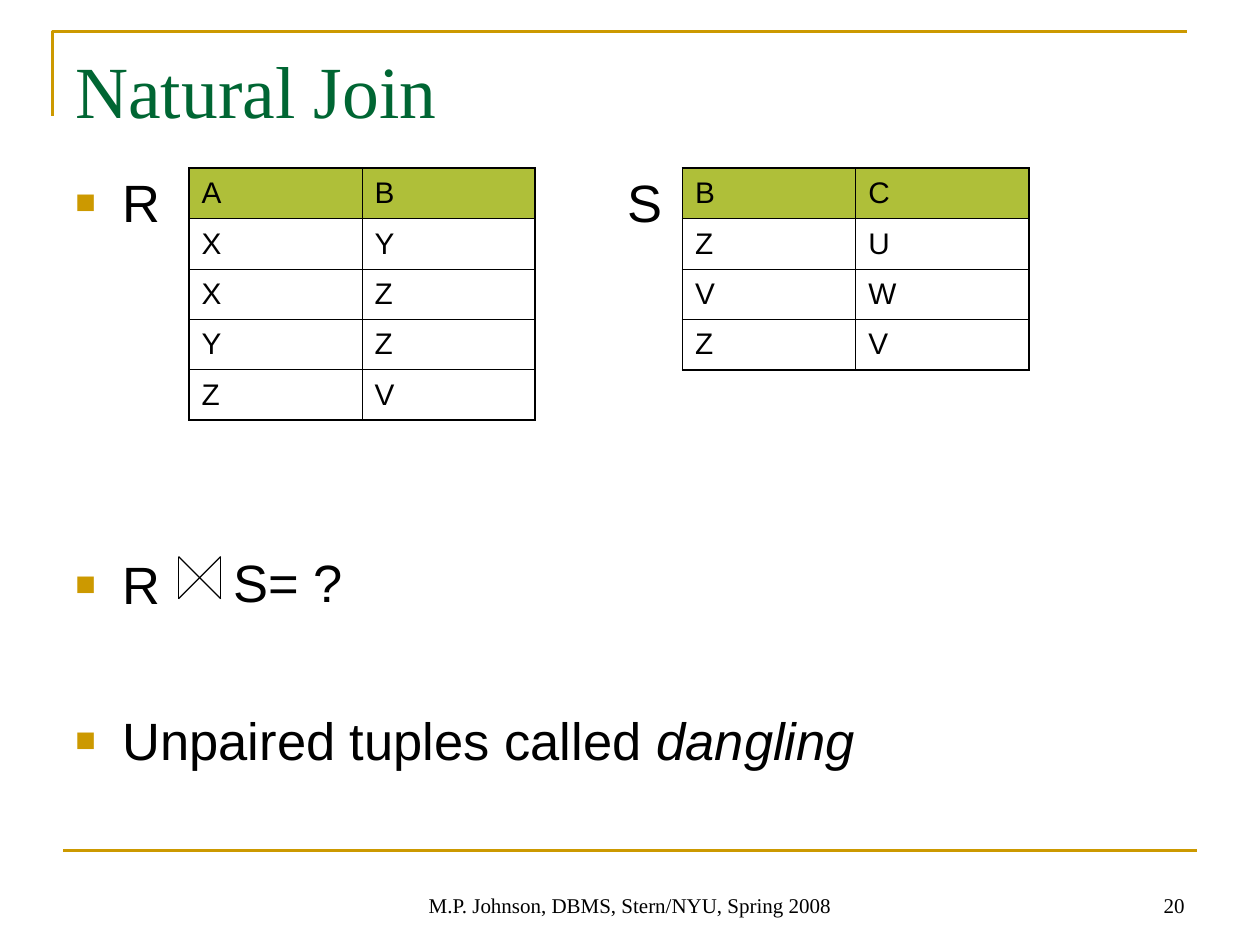
from lxml import etree
from pptx import Presentation
from pptx.dml.color import RGBColor
from pptx.enum.shapes import MSO_CONNECTOR
from pptx.enum.text import MSO_ANCHOR, PP_ALIGN
from pptx.oxml.ns import qn
from pptx.util import Cm, Pt

GOLD = RGBColor(0xCC, 0x99, 0x00)
GREEN = RGBColor(0x00, 0x66, 0x33)
OLIVE = RGBColor(0xAF, 0xBF, 0x39)
BLACK = RGBColor(0x00, 0x00, 0x00)
SANS, SERIF = "Arial", "Times New Roman"
THICK, THIN = Pt(1.08), Pt(0.45)


def add_span(para, text, size, font=SANS, color=BLACK, italic=None):
    span = para.add_run()
    span.text = text
    span.font.size = Pt(size)
    span.font.name = font
    span.font.color.rgb = color
    span.font.italic = italic


def add_box(page, left, top, width, height, anchor=MSO_ANCHOR.TOP):
    box = page.shapes.add_textbox(Cm(left), Cm(top), Cm(width), Cm(height))
    frame = box.text_frame
    frame.word_wrap = True
    frame.vertical_anchor = anchor
    return frame


def add_label(page, left, top, width, text):
    frame = add_box(page, left, top, width, 1.3)
    frame.margin_left = frame.margin_top = frame.margin_right = frame.margin_bottom = 0
    add_span(frame.paragraphs[0], text, 30)


def add_footer(page, left, width, text, align):
    frame = add_box(page, left, 17.36, width, 1.27, MSO_ANCHOR.BOTTOM)
    frame.paragraphs[0].alignment = align
    add_span(frame.paragraphs[0], text, 12, SERIF)


def add_bullet(para):
    props = para._p.get_or_add_pPr()
    props.set("marL", str(Cm(0.95)))
    props.set("indent", str(-Cm(0.95)))
    color = etree.SubElement(props, qn("a:buClr"))
    etree.SubElement(color, qn("a:srgbClr"), val=str(GOLD))
    etree.SubElement(props, qn("a:buSzPct"), val="65000")
    etree.SubElement(props, qn("a:buFont"), typeface=SANS)
    etree.SubElement(props, qn("a:buChar"), char="■")


def add_line(shapes, start, end, color, width):
    line = shapes.add_connector(MSO_CONNECTOR.STRAIGHT, *map(Cm, start + end))
    line.line.color.rgb = color
    line.line.width = Pt(width)
    etree.SubElement(line._element.spPr, qn("a:effectLst"))


def add_corner(page):
    builder = page.shapes.build_freeform(Cm(1.06), Cm(2.33))
    builder.add_line_segments([(Cm(1.06), Cm(0.64)), (Cm(23.92), Cm(0.64))], close=False)
    corner = builder.convert_to_shape()
    corner.shadow.inherit = False
    corner.fill.background()
    corner.line.color.rgb = GOLD
    corner.line.width = Pt(1.5)


def set_borders(cell, widths):
    props = cell._tc.get_or_add_tcPr()
    for index, (side, width) in enumerate(widths.items()):
        border = etree.Element(qn(f"a:{side}"), w=str(width))
        fill = etree.SubElement(border, qn("a:solidFill"))
        etree.SubElement(fill, qn("a:srgbClr"), val=str(BLACK))
        props.insert(index, border)


def add_relation(page, left, rows):
    count, columns = len(rows), len(rows[0])
    table = page.shapes.add_table(count, columns, Cm(left), Cm(3.39),
                                  Cm(3.49 * columns), Cm(1.016 * count)).table
    table.first_row = table.horz_banding = False
    for r, row in enumerate(rows):
        for c, value in enumerate(row):
            cell = table.cell(r, c)
            cell.vertical_anchor = MSO_ANCHOR.MIDDLE
            add_span(cell.text_frame.paragraphs[0], value, 17)
            if r == 0:
                cell.fill.solid()
                cell.fill.fore_color.rgb = OLIVE
            else:
                cell.fill.background()
            # Thick outline and header rule, thin lines inside
            set_borders(cell, {
                "lnL": THICK if c == 0 else THIN,
                "lnR": THICK if c == columns - 1 else THIN,
                "lnT": THICK if r <= 1 else THIN,
                "lnB": THICK if r in (0, count - 1) else THIN,
            })


def add_join_symbol(page, left, top, size):
    right, bottom = left + size, top + size
    group = page.shapes.add_group_shape()
    for start, end in (
        ((left, top), (right, bottom)),
        ((right, top), (left, bottom)),
        ((left, top), (left, bottom)),
        ((right, top), (right, bottom)),
    ):
        add_line(group.shapes, start, end, BLACK, 0.75)


def add_body(page):
    frame = add_box(page, 1.27, 3.18, 22.86, 13.84)
    frame.margin_top = Cm(0.24)
    items = [
        (0, [("R", None)]),
        (182.5, [("R", None)]),
        (53, [("Unpaired tuples called ", None), ("dangling", True)]),
    ]
    for index, (gap, spans) in enumerate(items):
        para = frame.add_paragraph() if index else frame.paragraphs[0]
        add_bullet(para)
        if gap:
            para.space_before = Pt(gap)
        for text, italic in spans:
            add_span(para, text, 30, italic=italic)


def main():
    deck = Presentation()
    deck.slide_width, deck.slide_height = Cm(25.4), Cm(19.05)
    page = deck.slides.add_slide(deck.slide_layouts[6])

    # Frame lines and footer
    add_corner(page)
    add_line(page.shapes, (1.27, 17.15), (24.13, 17.15), GOLD, 1.5)
    add_footer(page, 7.83, 9.74, "M.P. Johnson, DBMS, Stern/NYU, Spring 2008", PP_ALIGN.CENTER)
    add_footer(page, 18.2, 5.93, "20", PP_ALIGN.RIGHT)

    # Title
    title = add_box(page, 1.27, 0.76, 22.86, 1.98, MSO_ANCHOR.BOTTOM)
    title.margin_bottom = Cm(0.05)
    add_span(title.paragraphs[0], "Natural Join", 42, SERIF, GREEN)

    # Bullets, with the second relation's labels
    add_body(page)
    add_label(page, 12.65, 3.42, 1, "S")
    add_label(page, 4.71, 11.08, 4, "S= ?")

    # Relations R and S
    add_relation(page, 3.81, ["AB", "XY", "XZ", "YZ", "ZV"])
    add_relation(page, 13.76, ["BC", "ZU", "VW", "ZV"])

    # Natural join operator
    add_join_symbol(page, 3.6, 11.22, 0.85)

    deck.save("out.pptx")


if __name__ == "__main__":
    main()
